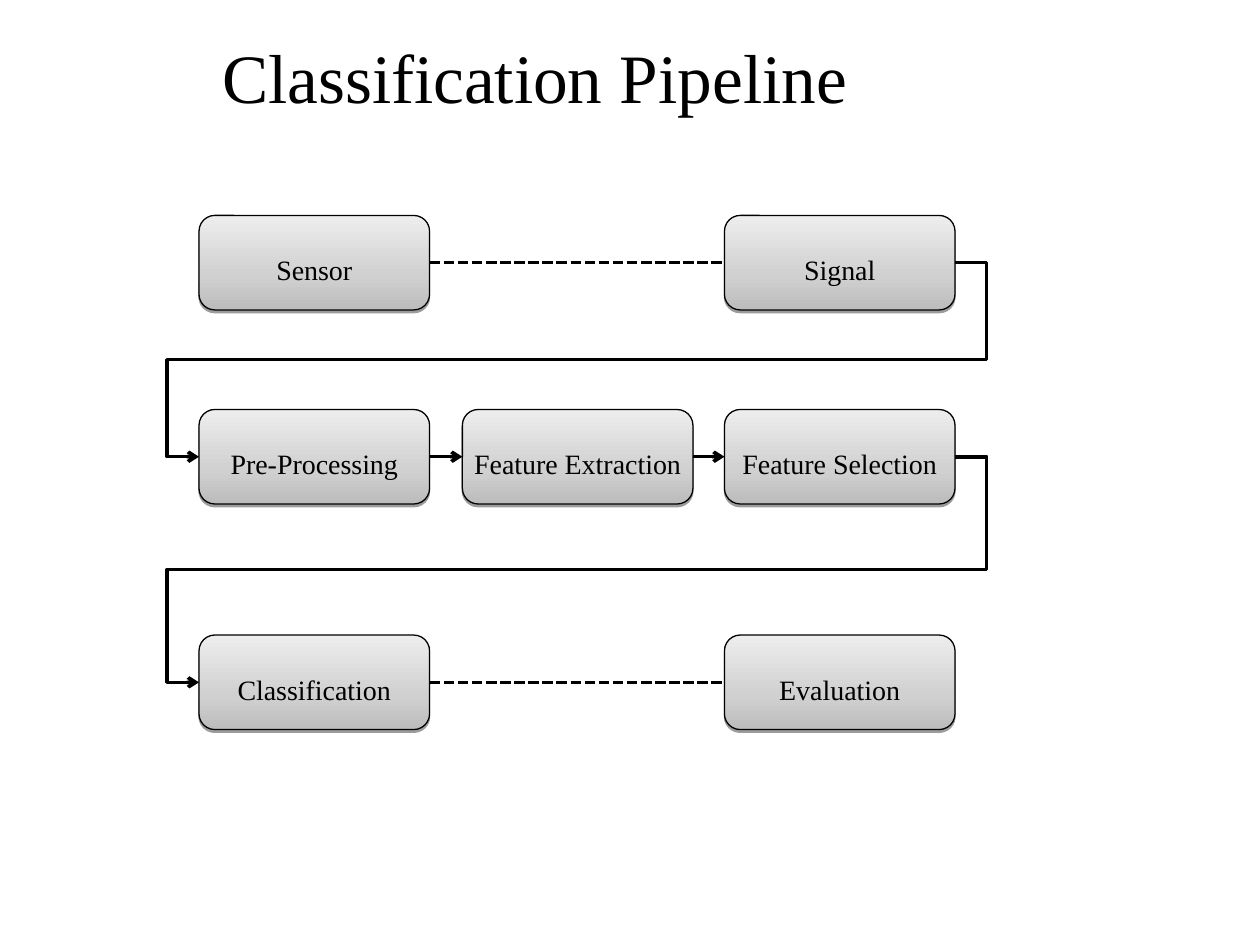
from dataclasses import dataclass

from lxml.etree import SubElement
from pptx import Presentation
from pptx.dml.color import RGBColor
from pptx.enum.dml import MSO_LINE
from pptx.enum.shapes import MSO_CONNECTOR as CONN, MSO_SHAPE
from pptx.enum.text import MSO_ANCHOR, PP_ALIGN
from pptx.oxml.ns import qn
from pptx.util import Inches, Pt

FONT = "Times New Roman"
BLACK = "000000"
COLS = (1.58, 3.67, 5.75)
ROWS = (1.71, 3.25, 5.04)
BOX_W, BOX_H = 1.83, 0.75
GRADIENT = ((0, "BCBCBC"), (35, "D0D0D0"), (100, "EDEDED"))
WRAP_ADJUST = (-4200, 50000, 104200)
LEFT_SITE, RIGHT_SITE = 1, 3


@dataclass
class Step:
    name: str
    col: int
    row: int


@dataclass
class Link:
    start: str
    end: str
    dashed: bool = False
    wraps: bool = False


STEPS = (
    Step("Sensor", 0, 0),
    Step("Signal", 2, 0),
    Step("Pre-Processing", 0, 1),
    Step("Feature Extraction", 1, 1),
    Step("Feature Selection", 2, 1),
    Step("Classification", 0, 2),
    Step("Evaluation", 2, 2),
)
LINKS = (
    Link("Sensor", "Signal", dashed=True),
    Link("Signal", "Pre-Processing", wraps=True),
    Link("Pre-Processing", "Feature Extraction"),
    Link("Feature Extraction", "Feature Selection"),
    Link("Feature Selection", "Classification", wraps=True),
    Link("Classification", "Evaluation", dashed=True),
)


def rgb(value: str) -> RGBColor:
    return RGBColor.from_string(value)


def write(s, text: str, *, size: float, wrap: bool = False, top: float = 0.05) -> None:
    tf = s.text_frame
    tf.word_wrap = wrap
    tf.vertical_anchor = MSO_ANCHOR.MIDDLE
    tf.margin_top = Inches(top)
    p = tf.paragraphs[0]
    p.alignment = PP_ALIGN.CENTER
    r = p.add_run()
    r.text = text
    r.font.name = FONT
    r.font.size = Pt(size)
    r.font.color.rgb = rgb(BLACK)


def add_color(parent, value: str):
    return SubElement(parent, qn("a:srgbClr"), val=value)


def add_step(shapes, step: Step):
    s = shapes.add_shape(
        MSO_SHAPE.ROUNDED_RECTANGLE,
        Inches(COLS[step.col]), Inches(ROWS[step.row]), Inches(BOX_W), Inches(BOX_H),
    )
    s.fill.gradient()
    s.fill.gradient_angle = 90
    stops = s._element.spPr.find(".//" + qn("a:gsLst"))
    for stop in list(stops):
        stops.remove(stop)
    for pos, value in GRADIENT:
        add_color(SubElement(stops, qn("a:gs"), pos=str(pos * 1000)), value)
    s.line.color.rgb = rgb(BLACK)
    s.line.width = Pt(0.75)
    s.shadow.inherit = False
    effects = s._element.spPr.find(qn("a:effectLst"))
    shadow = SubElement(effects, qn("a:outerShdw"), blurRad="0", dist=str(Pt(1.6)),
                        dir="5400000", rotWithShape="0")
    SubElement(add_color(shadow, BLACK), qn("a:alpha"), val="38000")
    write(s, step.name, size=16, top=0.16)
    return s


def add_link(shapes, boxes: dict, link: Link) -> None:
    kind = CONN.ELBOW if link.wraps else CONN.STRAIGHT
    c = shapes.add_connector(kind, 0, 0, 0, 0)
    c.begin_connect(boxes[link.start], RIGHT_SITE)
    c.end_connect(boxes[link.end], LEFT_SITE)
    c.line.color.rgb = rgb(BLACK)
    c.line.width = Pt(2)
    sp = c._element.spPr
    if link.dashed:
        c.line.dash_style = MSO_LINE.SQUARE_DOT
    else:
        SubElement(sp.find(qn("a:ln")), qn("a:tailEnd"), type="arrow")
    SubElement(sp, qn("a:effectLst"))
    if link.wraps:
        geom = sp.find(qn("a:prstGeom"))
        geom.set("prst", "bentConnector5")
        guides = geom.find(qn("a:avLst"))
        for i, value in enumerate(WRAP_ADJUST, 1):
            SubElement(guides, qn("a:gd"), name=f"adj{i}", fmla=f"val {value}")


def main() -> None:
    prs = Presentation()
    prs.slide_width, prs.slide_height = Inches(10), Inches(7.5)
    shapes = prs.slides.add_slide(prs.slide_layouts[6]).shapes
    title = shapes.add_textbox(Inches(1.33), Inches(0.25), Inches(5.83), Inches(0.7))
    write(title, "Classification Pipeline", size=39.6, wrap=True)
    boxes = {step.name: add_step(shapes, step) for step in STEPS}
    for link in LINKS:
        add_link(shapes, boxes, link)
    prs.save("out.pptx")


if __name__ == "__main__":
    main()
